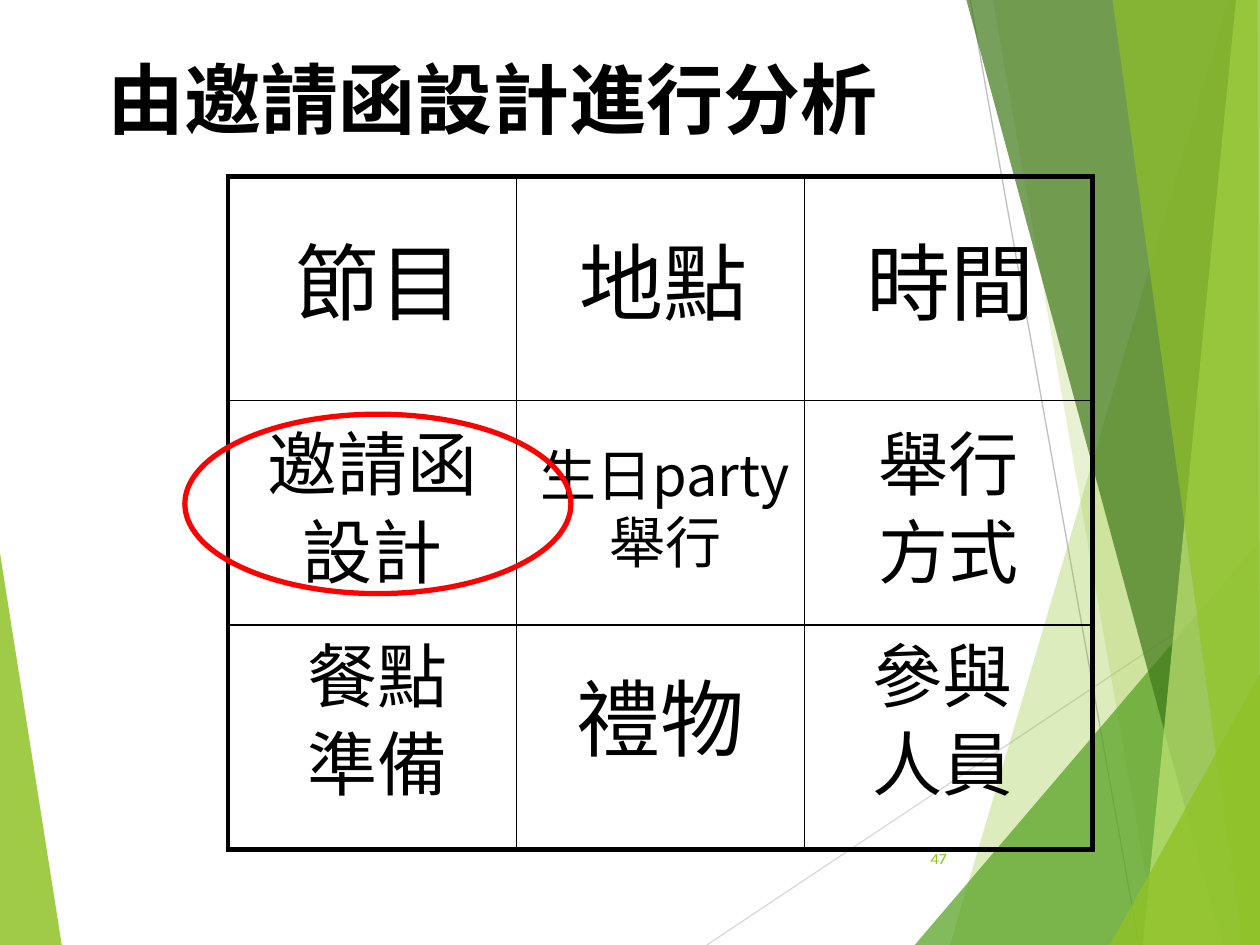
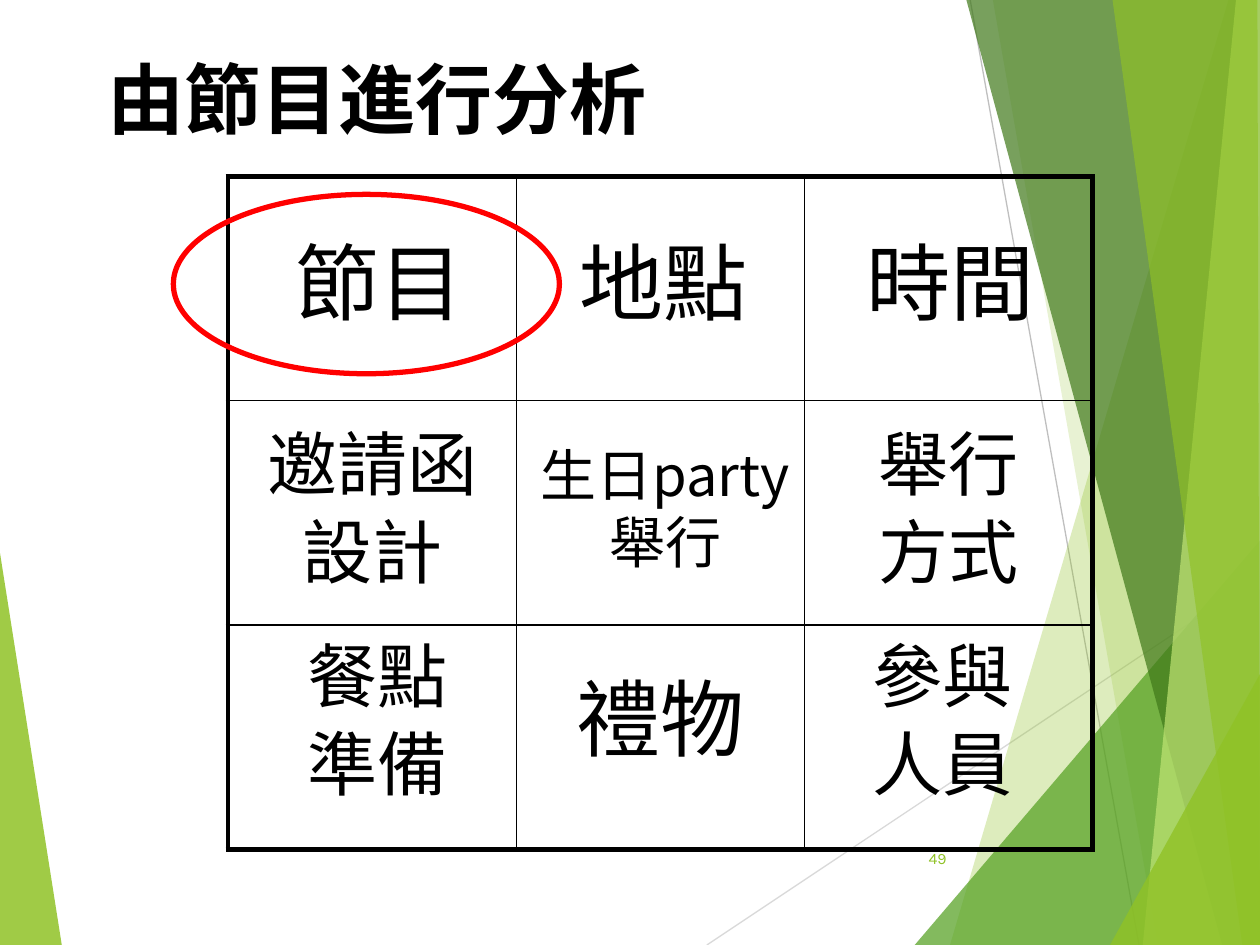
from collections import namedtuple

from lxml.etree import SubElement
from pptx import Presentation
from pptx.dml.color import RGBColor
from pptx.enum.shapes import MSO_CONNECTOR, MSO_SHAPE
from pptx.enum.text import MSO_ANCHOR, PP_ALIGN
from pptx.oxml.ns import qn
from pptx.util import Inches, Pt

HUES = {"ink": "000000", "ring": "FF0000", "lime": "90C226", "leaf": "54A021",
        "moss": "3F7819", "pale": "C0E474", "mist": "D9D9D9", "ash": "BFBFBF"}
HAN, HEAD, NUM = "Noto Sans CJK SC", "Arial", "Karla"

Box = namedtuple("Box", "x y w h")
Word = namedtuple("Word", "lines size dx dy", defaults=(0, 0))
PAGE = Box(0, 0, Inches(10), Inches(7.5))

BANDS = [
    ("lime", 85, [(0, 58.53), (4.9, 100), (0, 100)]),
    ("lime", 30, [(97.5, 0), (75.4, 100), (100, 100), (100, 0)]),
    ("lime", 20, [(78.8, 0), (91.9, 100), (100, 100), (100, 0)]),
    ("leaf", 72, [(72.6, 100), (100, 57.2), (100, 100)]),
    ("moss", 70, [(76.7, 0), (97, 100), (100, 100), (100, 0)]),
    ("pale", 70, [(98.1, 0), (90.7, 100), (100, 100), (100, 0)]),
    ("lime", 65, [(88.3, 0), (98.6, 100), (100, 100), (99.8, 0)]),
    ("lime", 80, [(88.1, 100), (100, 71.33), (100, 100)]),
]
RAYS = [("mist", (56.1, 100), (100, 61)), ("ash", (77, 0), (90.4, 100))]

WORDS = [
    [Word(["節目"], 48, 0.06), Word(["地點"], 48, 0.03), Word(["時間"], 48, 0.02)],
    [Word(["邀請函", "設計"], 40), Word(["生日party舉行"], 32, 0.04),
     Word(["舉行", "方式"], 40)],
    [Word(["餐點", "準備"], 40, 0.04, -0.1), Word(["禮物"], 48, 0, -0.1),
     Word(["參與", "人員"], 40, -0.05, -0.1)],
]
SLIDES = [
    ("由邀請函設計進行分析", "47", (1, 0), (-0.15, 0.06)),
    ("由節目進行分析", "49", (0, 0), (-0.19, 0.08)),
]


def part(box, x, y, w, h):
    """Return the box that takes the given shares, in percent, of another."""
    return Box(*(int(v) for v in (box.x + box.w * x / 100, box.y + box.h * y / 100,
                                  box.w * w / 100, box.h * h / 100)))


def spot(box, point):
    """Return a point given in percent of a box."""
    return part(box, *point, 0, 0)[:2]


def hue(name):
    """Return a named colour."""
    return RGBColor.from_string(HUES[name])


def write(para, text, size, font, tint, bold=False):
    """Add one styled run to a paragraph."""
    run = para.add_run()
    run.text = text
    run.font.size, run.font.name, run.font.bold = Pt(size), font, bold
    run.font.color.rgb = hue(tint)
    if font == HAN:
        SubElement(run.font._element, qn("a:ea"), typeface=font)


def band(shapes, box, tint, alpha, points):
    """Draw one translucent polygon."""
    first, *rest = [spot(box, p) for p in points]
    pen = shapes.build_freeform(*first)
    pen.add_line_segments(rest, close=True)
    shape = pen.convert_to_shape()
    shape.shadow.inherit = False
    shape.line.fill.background()
    shape.fill.solid()
    shape.fill.fore_color.rgb = hue(tint)
    tone = shape.element.spPr.find(".//" + qn("a:srgbClr"))
    SubElement(tone, qn("a:alpha"), val=str(alpha * 1000))
    return shape


def ray(shapes, box, tint, start, end):
    """Draw one thin line."""
    line = shapes.add_connector(MSO_CONNECTOR.STRAIGHT, *spot(box, start), *spot(box, end))
    line.line.color.rgb, line.line.width = hue(tint), Pt(0.75)
    SubElement(line.element.spPr, qn("a:effectLst"))
    return line


def decor(slide, box):
    """Draw the green bands and move them to the layout that the slides share."""
    shapes = slide.shapes
    parts = [band(shapes, box, *BANDS[0])]
    parts += [ray(shapes, box, *r) for r in RAYS]
    parts += [band(shapes, box, *b) for b in BANDS[1:]]
    tree = slide.slide_layout.shapes.element
    for i, shape in enumerate(parts):
        tree.insert(2 + i, shape.element)


def title(slide, box, text):
    """Fill and place the title."""
    head = slide.shapes.title
    head.left, head.top, head.width, head.height = box
    frame = head.text_frame
    frame.word_wrap, frame.vertical_anchor = True, MSO_ANCHOR.MIDDLE
    para = frame.paragraphs[0]
    para.alignment = PP_ALIGN.LEFT
    write(para, text, 44, HEAD, "ink", True)


def page(slide, box, text):
    """Write the page number."""
    frame = slide.shapes.add_textbox(*box).text_frame
    frame.word_wrap, frame.vertical_anchor = True, MSO_ANCHOR.MIDDLE
    frame.paragraphs[0].alignment = PP_ALIGN.RIGHT
    write(frame.paragraphs[0], text, 9, NUM, "lime")


def edge(cell, side, width):
    """Set one border of a cell."""
    line = SubElement(cell._tc.get_or_add_tcPr(), qn("a:" + side), w=str(Pt(width)))
    fill = SubElement(line, qn("a:solidFill"))
    SubElement(fill, qn("a:srgbClr"), val=HUES["ink"])


def fill(cell, word):
    """Write the centred lines of a cell, nudged through its margins."""
    cell.vertical_anchor = MSO_ANCHOR.MIDDLE
    cell.margin_left, cell.margin_right = (Inches(max(0, 2 * s * word.dx)) for s in (1, -1))
    cell.margin_top, cell.margin_bottom = (Inches(max(0, 2 * s * word.dy)) for s in (1, -1))
    for i, text in enumerate(word.lines):
        para = cell.text_frame.add_paragraph() if i else cell.text_frame.paragraphs[0]
        para.alignment = PP_ALIGN.CENTER
        para.line_spacing = Pt(word.size * 1.2)
        if i:
            para.space_before = Pt(word.size * 0.05)
        write(para, text, word.size, HAN, "ink")


def grid(slide, box):
    """Draw the three by three table with a heavy frame."""
    size = len(WORDS)
    table = slide.shapes.add_table(size, size, *box).table
    table.first_row = table.horz_banding = False
    for r, row in enumerate(WORDS):
        table.rows[r].height = box.h // size
        table.columns[r].width = box.w // size
        for c, word in enumerate(row):
            cell = table.cell(r, c)
            fill(cell, word)
            rims = {"lnL": c == 0, "lnR": c == size - 1, "lnT": r == 0, "lnB": r == size - 1}
            for side, rim in rims.items():
                edge(cell, side, 3 if rim else 0.75)
            cell.fill.background()


def ring(slide, box, cell, shift):
    """Circle one cell of the grid in red."""
    row, col = cell
    third = 100 / len(WORDS)
    home = part(box, col * third, row * third, third, third)
    oval = slide.shapes.add_shape(
        MSO_SHAPE.OVAL, *part(home, shift[0] * 100, shift[1] * 100, 134, 80))
    oval.shadow.inherit = False
    oval.fill.background()
    oval.line.color.rgb, oval.line.width = hue("ring"), Pt(3)


def build(slide, box, text, number, cell, shift):
    """Lay out one analysis slide."""
    area = part(box, 18.1, 18.67, 68.6, 71.2)
    title(slide, part(box, 7.5, 4.8, 69.3, 11.07), text)
    page(slide, part(box, 70.5, 88.13, 5.6, 5.33), number)
    grid(slide, area)
    ring(slide, area, cell, shift)


def main():
    """Build and save the deck."""
    deck = Presentation()
    deck.slide_width, deck.slide_height = PAGE.w, PAGE.h
    layout = deck.slide_layouts[5]
    for i, data in enumerate(SLIDES):
        slide = deck.slides.add_slide(layout)
        if i == 0:
            decor(slide, PAGE)
        build(slide, PAGE, *data)
    deck.save("out.pptx")


if __name__ == "__main__":
    main()
